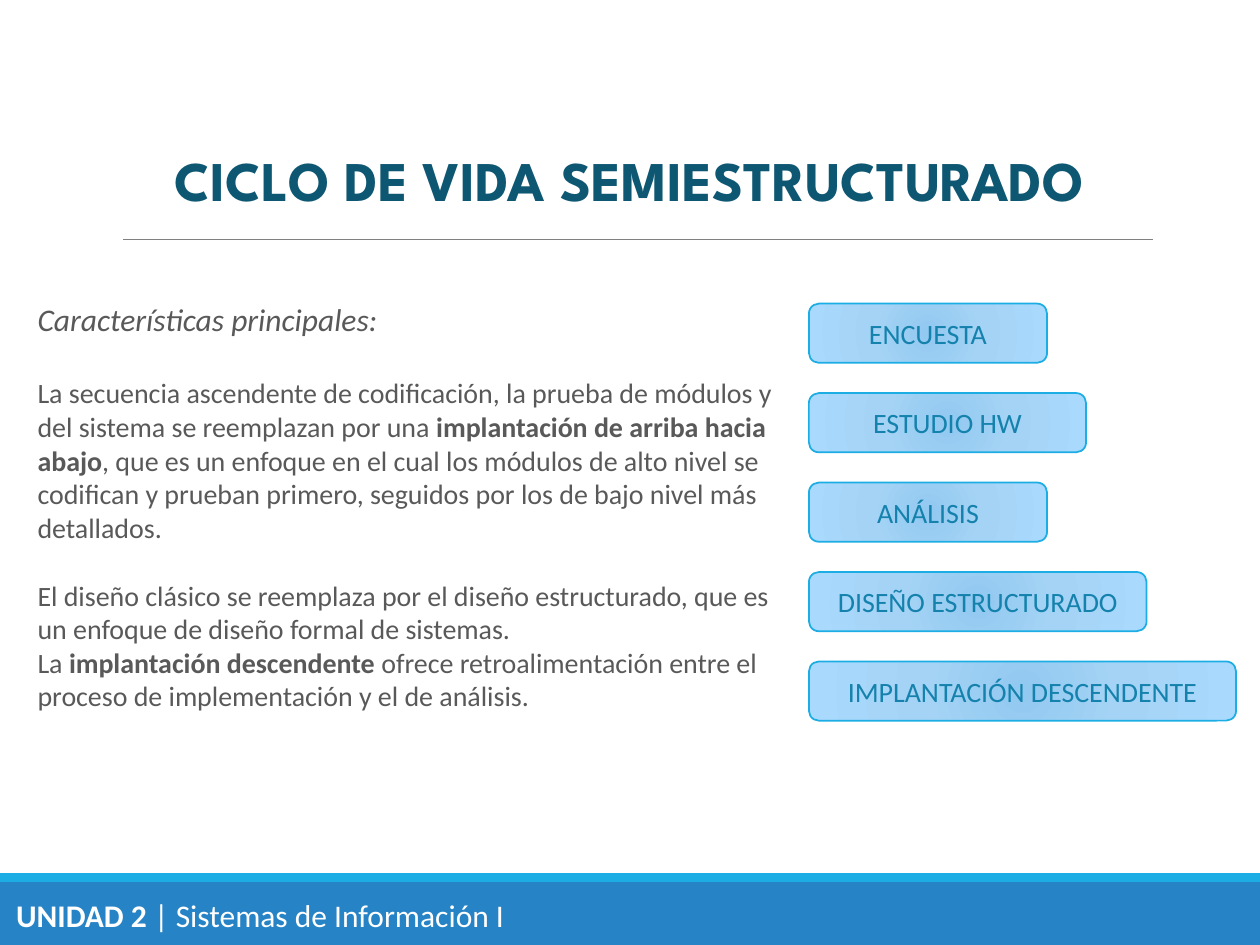
from dataclasses import dataclass

from pptx import Presentation
from pptx.dml.color import RGBColor
from pptx.enum.shapes import MSO_CONNECTOR, MSO_SHAPE
from pptx.enum.text import MSO_ANCHOR, MSO_AUTO_SIZE, PP_ALIGN
from pptx.oxml import parse_xml
from pptx.oxml.ns import nsdecls
from pptx.util import Inches, Pt


@dataclass(frozen=True)
class Theme:
    body_font: str = "Calibri"
    title_font: str = "League Spartan"
    title: str = "0E5772"
    body: str = "595959"
    rule: str = "808080"
    footer: str = "2683C6"
    accent: str = "1CADE4"
    stage_text: str = "1482AC"
    white: str = "FFFFFF"
    stage_stops: tuple = ((0, "92C9F0"), (45, "A4D3F5"), (100, "A9D9FD"))
    title_size: int = 32
    lead_size: int = 18
    body_size: int = 16


THEME = Theme()

STAGES = [
    ("ENCUESTA", 1.89),
    ("ESTUDIO HW", 2.2),
    ("ANÁLISIS", 1.89),
    ("DISEÑO ESTRUCTURADO", 2.68),
    ("IMPLANTACIÓN DESCENDENTE", 3.39),
]

FEATURES = [
    (22, [
        ("La secuencia ascendente de codificación, la prueba de módulos y del "
         "sistema se reemplazan por una ", False),
        ("implantación de arriba hacia abajo", True),
        (", que es un enfoque en el cual los módulos de alto nivel se codifican y "
         "prueban primero, seguidos por los de bajo nivel más detallados.", False),
    ]),
    (19.5, [
        ("El diseño clásico se reemplaza por el diseño estructurado, que es un "
         "enfoque de diseño formal de sistemas.", False),
    ]),
    (0, [
        ("La ", False),
        ("implantación descendente ", True),
        ("ofrece retroalimentación entre el proceso de implementación y el de "
         "análisis.", False),
    ]),
]


def style_run(run, size, color, font=THEME.body_font, bold=False, italic=False):
    run.font.name = font
    run.font.size = Pt(size)
    run.font.bold = bold
    run.font.italic = italic
    run.font.color.rgb = RGBColor.from_string(color)


def add_runs(paragraph, parts, size, color):
    for text, bold in parts:
        run = paragraph.add_run()
        run.text = text
        style_run(run, size, color, bold=bold)


def add_bar(slide, top, height, color):
    shape = slide.shapes.add_shape(
        MSO_SHAPE.RECTANGLE, 0, Inches(top), Inches(10), Inches(height))
    shape.shadow.inherit = False
    shape.fill.solid()
    shape.fill.fore_color.rgb = RGBColor.from_string(color)
    shape.line.fill.background()


def add_rule(slide, left, right, top):
    connector = slide.shapes.add_connector(
        MSO_CONNECTOR.STRAIGHT, Inches(left), Inches(top), Inches(right), Inches(top))
    connector.line.color.rgb = RGBColor.from_string(THEME.rule)
    connector.line.width = Pt(0.5)
    connector._element.spPr.append(parse_xml(f"<a:effectLst {nsdecls('a')}/>"))


def set_title(slide, text):
    title = slide.shapes.title
    title.left, title.top = 0, Inches(1.02)
    title.width, title.height = Inches(10), Inches(0.8)
    text_frame = title.text_frame
    text_frame.text = text
    text_frame.auto_size = MSO_AUTO_SIZE.NONE
    text_frame.vertical_anchor = MSO_ANCHOR.MIDDLE
    paragraph = text_frame.paragraphs[0]
    paragraph.alignment = PP_ALIGN.CENTER
    style_run(paragraph.runs[0], THEME.title_size, THEME.title,
              THEME.title_font, bold=True)


def fill_radial(shape, stops):
    shape.fill.background()
    stop_xml = "".join(
        f'<a:gs pos="{position * 1000}"><a:srgbClr val="{color}"/></a:gs>'
        for position, color in stops)
    gradient = parse_xml(
        f'<a:gradFill {nsdecls("a")} rotWithShape="1"><a:gsLst>{stop_xml}</a:gsLst>'
        '<a:path path="circle"><a:fillToRect l="100000" t="100000" r="100000" '
        'b="100000"/></a:path></a:gradFill>')
    properties = shape._element.spPr
    properties.replace(properties.find("{*}noFill"), gradient)


def add_stage(slide, text, top, width):
    shape = slide.shapes.add_shape(
        MSO_SHAPE.ROUNDED_RECTANGLE,
        Inches(6.42), Inches(top), Inches(width), Inches(0.47))
    shape.shadow.inherit = False
    fill_radial(shape, THEME.stage_stops)
    shape.line.color.rgb = RGBColor.from_string(THEME.accent)
    shape.line.width = Pt(1)
    text_frame = shape.text_frame
    text_frame.text = text
    text_frame.vertical_anchor = MSO_ANCHOR.MIDDLE
    paragraph = text_frame.paragraphs[0]
    paragraph.alignment = PP_ALIGN.CENTER
    style_run(paragraph.runs[0], THEME.body_size, THEME.stage_text)


def add_text_box(slide, left, top, width, height):
    text_box = slide.shapes.add_textbox(
        Inches(left), Inches(top), Inches(width), Inches(height))
    text_box.text_frame.word_wrap = True
    return text_box.text_frame


def add_features(slide):
    text_frame = add_text_box(slide, 0.2, 2.33, 6.06, 3.4)
    text_frame.text = "Características principales:"
    style_run(text_frame.paragraphs[0].runs[0], THEME.lead_size, THEME.body,
              italic=True)
    for space_before, parts in FEATURES:
        paragraph = text_frame.add_paragraph()
        paragraph.space_before = Pt(space_before)
        add_runs(paragraph, parts, THEME.body_size, THEME.body)


def add_footer(slide):
    add_bar(slide, 7, 0.5, THEME.footer)
    add_bar(slide, 6.93, 0.07, THEME.accent)
    text_frame = add_text_box(slide, 0.03, 7.06, 4.12, 0.4)
    add_runs(text_frame.paragraphs[0],
             [("UNIDAD 2 ", True), ("| Sistemas de Información I", False)],
             THEME.lead_size, THEME.white)


def main():
    presentation = Presentation()
    presentation.slide_width = Inches(10)
    presentation.slide_height = Inches(7.5)
    slide = presentation.slides.add_slide(presentation.slide_layouts[5])
    set_title(slide, "CICLO DE VIDA SEMIESTRUCTURADO")
    add_rule(slide, 0.98, 9.15, 1.9)
    for index, (text, width) in enumerate(STAGES):
        add_stage(slide, text, 2.41 + 0.71 * index, width)
    add_features(slide)
    add_footer(slide)
    presentation.save("out.pptx")


main()
